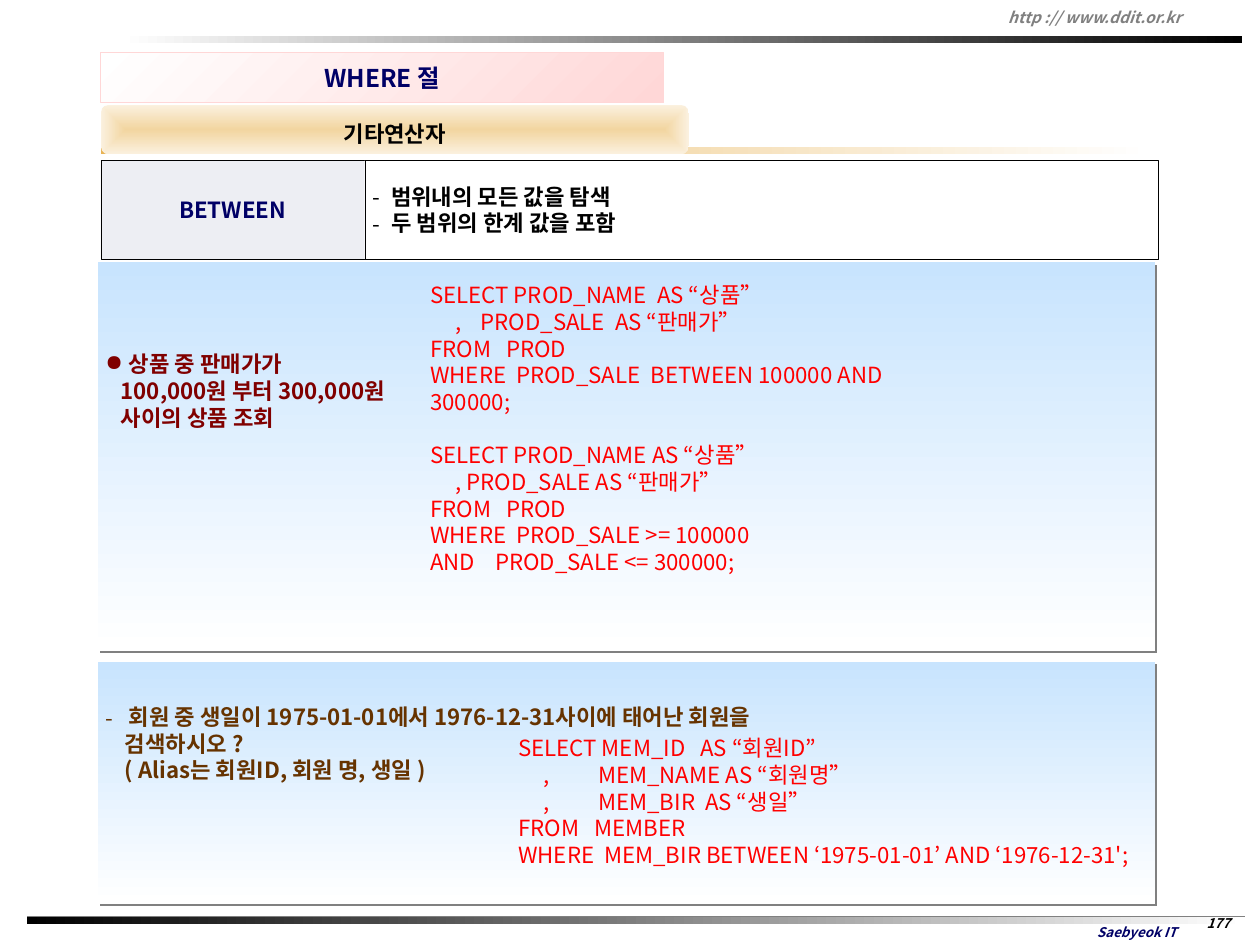
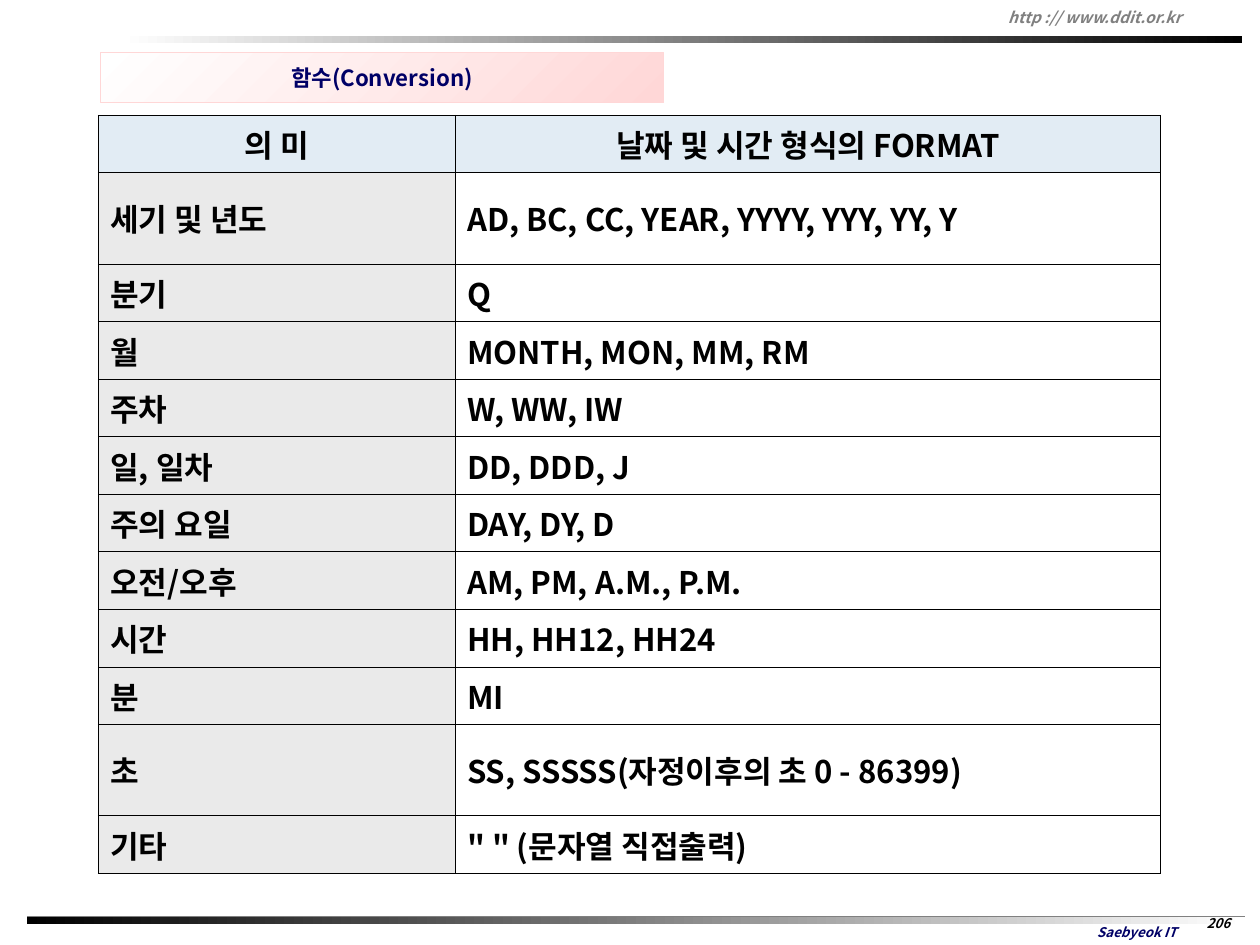
from dataclasses import dataclass

from lxml.etree import SubElement
from pptx import Presentation
from pptx.dml.color import RGBColor
from pptx.enum.shapes import MSO_CONNECTOR, MSO_SHAPE
from pptx.enum.text import MSO_ANCHOR, PP_ALIGN
from pptx.oxml.ns import qn
from pptx.util import Inches, Pt


@dataclass(frozen=True)
class Theme:
    """Colours, font and type sizes shared by the slides."""
    font: str = "Noto Sans CJK KR"
    black: str = "000000"
    white: str = "FFFFFF"
    gray: str = "808080"
    navy: str = "000066"
    pink: str = "FFD7D7"
    maroon: str = "800000"
    brown: str = "663300"
    red: str = "FF0000"
    sky: str = "C8E4FE"
    gold: str = "E8B354"
    sand: str = "F2D5A0"
    cream: str = "FBF1DF"
    term: str = "EDEEF3"
    header: str = "E2ECF4"
    label: str = "EAEAEA"
    small: int = 12
    address: int = 14
    body: int = 20
    title: int = 22
    table: int = 28


THEME = Theme()


def rgb(value):
    """Turn a hex string into a colour."""
    return RGBColor.from_string(value)


def add_span(para, text, size, color, bold=True, italic=False):
    """Add one styled run to a paragraph."""
    span = para.add_run()
    span.text = text
    font = span.font
    font.size, font.bold, font.italic = Pt(size), bold, italic
    font.color.rgb = rgb(color)
    font.name = THEME.font
    SubElement(font._element, qn("a:ea"), typeface=THEME.font)


def set_indent(para, margin, bullet=None):
    """Set the left margin and hanging bullet of a paragraph."""
    props = para._p.get_or_add_pPr()
    props.set("marL", str(Inches(margin)))
    props.set("indent", str(-Inches(margin) if bullet else 0))
    if bullet == "-":
        SubElement(props, qn("a:buFont"), typeface=THEME.font)
    if bullet:
        SubElement(props, qn("a:buChar"), char=bullet)


def set_tab(para, position):
    """Set one left tab stop."""
    stops = SubElement(para._p.get_or_add_pPr(), qn("a:tabLst"))
    SubElement(stops, qn("a:tab"), pos=str(Inches(position)), algn="l")


def write_lines(holder, lines, size, color, align=PP_ALIGN.LEFT,
                anchor=MSO_ANCHOR.MIDDLE, wrap=True, **style):
    """Write paragraphs into a shape and return them."""
    frame = holder.text_frame
    frame.word_wrap, frame.vertical_anchor = wrap, anchor
    paras = []
    for index, line in enumerate(lines):
        para = frame.add_paragraph() if index else frame.paragraphs[0]
        para.alignment = align
        add_span(para, line, size, color, **style)
        paras.append(para)
    return paras


def add_text(page, region, lines, size, color, **style):
    """Place a text box and return its paragraphs."""
    box = page.shapes.add_textbox(*map(Inches, region))
    return write_lines(box, lines, size, color, **style)


def add_box(page, region, fill, line=None, width=0.25, kind=MSO_SHAPE.RECTANGLE):
    """Place a shape with a solid or (start, end, angle) gradient fill."""
    box = page.shapes.add_shape(kind, *map(Inches, region))
    box.shadow.inherit = False
    if isinstance(fill, str):
        box.fill.solid()
        box.fill.fore_color.rgb = rgb(fill)
    else:
        start, end, angle = fill
        box.fill.gradient()
        box.fill.gradient_angle = angle
        for stop, color in zip(box.fill.gradient_stops, (start, end)):
            stop.color.rgb = rgb(color)
    if line:
        box.line.color.rgb = rgb(line)
        box.line.width = Pt(width)
    else:
        box.line.fill.background()
    return box


def add_frame(page, number):
    """Draw the header band, the footer band and the page number."""
    left, top, width = 0.34, 11.46, 15.22
    rule = page.shapes.add_connector(MSO_CONNECTOR.STRAIGHT, Inches(left), Inches(top),
                                     Inches(left + width), Inches(top))
    rule.line.color.rgb = rgb(THEME.gray)
    rule.line.width = Pt(1.5)
    SubElement(rule._element.spPr, qn("a:effectLst"))
    add_box(page, (left, top, width, 0.09), (THEME.black, THEME.white, 0))
    add_box(page, (1.52, 0.45, 14, 0.09), (THEME.white, THEME.black, 0))
    add_text(page, (13.26, 11.48, 1.9, 0.33), ["Saebyeok IT"], THEME.small, THEME.navy,
             align=PP_ALIGN.CENTER, italic=True)
    add_text(page, (12.5, 0.02, 3.21, 0.38), ["http :// www.ddit.or.kr"], THEME.address,
             THEME.gray, italic=True)
    add_text(page, (14.88, 11.39, 0.7, 0.31), [number], THEME.small, THEME.black,
             align=PP_ALIGN.CENTER, anchor=MSO_ANCHOR.TOP, italic=True)


def add_title(page, text, size):
    """Draw the pink title bar."""
    bar = add_box(page, (1.26, 0.66, 7.03, 0.62), (THEME.white, THEME.pink, 315),
                  THEME.pink, 0.75)
    write_lines(bar, [text], size, THEME.navy, align=PP_ALIGN.CENTER, wrap=False)


def add_subtitle(page, region, text):
    """Draw the rounded golden tab on its fading rule."""
    left, top, width, height = region
    add_box(page, (left, top + height - 0.09, 13.12, 0.09), (THEME.gold, THEME.white, 0))
    tab = add_box(page, region, (THEME.sand, THEME.cream, 0),
                  kind=MSO_SHAPE.ROUNDED_RECTANGLE)
    tab.adjustments[0] = 0.17
    gradient = tab._element.spPr.find(qn("a:gradFill"))
    gradient.remove(gradient.find(qn("a:lin")))
    shade = SubElement(gradient, qn("a:path"), path="shape")
    SubElement(shade, qn("a:fillToRect"), l="50000", t="50000", r="50000", b="50000")
    para, = write_lines(tab, [text], THEME.body, THEME.black,
                        align=PP_ALIGN.CENTER, wrap=False)
    para.line_spacing = 1.3


def add_definition(page, region, term, meanings):
    """Draw a term cell beside its bulleted meaning."""
    left, top, width, height = region
    split = 3.3
    name = add_box(page, (left, top, split, height), THEME.term, THEME.black)
    write_lines(name, [term], THEME.body, THEME.navy, align=PP_ALIGN.CENTER)
    meaning = add_box(page, (left + split, top, width - split, height),
                      THEME.white, THEME.black)
    for para in write_lines(meaning, meanings, THEME.body, THEME.black):
        set_indent(para, 0.23, "-")


def add_panel(page, region, inset, bullet, hang, margin, lines, color):
    """Draw a shadowed blue panel with a bulleted question."""
    panel = add_box(page, region, (THEME.sky, THEME.white, 270))
    effects = panel._element.spPr.find(qn("a:effectLst"))
    shadow = SubElement(effects, qn("a:outerShdw"), dist=str(Pt(2.8)), dir="2700000",
                        algn="ctr", rotWithShape="0")
    SubElement(shadow, qn("a:srgbClr"), val=THEME.gray)
    panel.text_frame.margin_top = Inches(inset)
    first, *others = write_lines(panel, lines, THEME.body, color, anchor=MSO_ANCHOR.TOP)
    set_indent(first, hang, bullet)
    for para in others:
        set_indent(para, margin)


def add_query(page, region, lines, tab):
    """Place SQL code, with a gap before each later statement."""
    paras = add_text(page, region, lines, THEME.body, THEME.red,
                     anchor=MSO_ANCHOR.TOP, bold=False)
    for index, (para, line) in enumerate(zip(paras, lines)):
        if "\t" in line:
            set_tab(para, tab)
        if index and line.startswith("SELECT"):
            para.space_before = Pt(24)


def style_cell(cell, text, fill, align):
    """Write, fill and border one table cell."""
    cell.margin_left = cell.margin_right = Inches(0.15)
    cell.margin_top = cell.margin_bottom = Inches(0.08)
    cell.vertical_anchor = MSO_ANCHOR.MIDDLE
    props = cell._tc.get_or_add_tcPr()
    for side in ("lnL", "lnR", "lnT", "lnB"):
        border = SubElement(props, qn(f"a:{side}"), w=str(Pt(1)))
        paint = SubElement(border, qn("a:solidFill"))
        SubElement(paint, qn("a:srgbClr"), val=THEME.black)
    if fill:
        cell.fill.solid()
        cell.fill.fore_color.rgb = rgb(fill)
    else:
        cell.fill.background()
    para = cell.text_frame.paragraphs[0]
    para.alignment = align
    add_span(para, text, THEME.table, THEME.black)


def add_format_table(page, region, rows, tall_rows):
    """Draw the two-column table of formats."""
    left, top, width, height = region
    table = page.shapes.add_table(len(rows), 2, *map(Inches, region)).table
    table.first_row = table.horz_banding = False
    label_width = 4.46
    table.columns[0].width = Inches(label_width)
    table.columns[1].width = Inches(width - label_width)
    tall = 1.14
    normal = (height - tall * len(tall_rows)) / (len(rows) - len(tall_rows))
    for index, row in enumerate(rows):
        table.rows[index].height = Inches(tall if index in tall_rows else normal)
        fills = (THEME.label, None) if index else (THEME.header, THEME.header)
        align = PP_ALIGN.LEFT if index else PP_ALIGN.CENTER
        for column, text in enumerate(row):
            style_cell(table.cell(index, column), text, fills[column], align)


def build_between(page):
    """Build the slide on the BETWEEN operator."""
    add_frame(page, "177")
    add_title(page, "WHERE 절", THEME.title)
    add_definition(page, (1.26, 2, 13.22, 1.24), "BETWEEN",
                   ["범위내의 모든 값을 탐색", "두 범위의 한계 값을 포함"])
    add_panel(page, (1.22, 3.28, 13.22, 4.86), 1.1, "●", 0.29, 0.19,
              ["상품 중 판매가가", "100,000원 부터 300,000원", "사이의 상품 조회"],
              THEME.maroon)
    add_subtitle(page, (1.26, 1.31, 7.35, 0.62), "기타연산자")
    add_panel(page, (1.22, 8.27, 13.22, 3.03), 0.52, "-", 0.29, 0.24,
              ["회원 중 생일이 1975-01-01에서 1976-12-31사이에 태어난 회원을",
               "검색하시오 ?", "( Alias는 회원ID, 회원 명, 생일 )"], THEME.brown)
    add_query(page, (5.28, 3.47, 6.37, 3.77), [
        "SELECT PROD_NAME  AS “상품”",
        "     ,\tPROD_SALE  AS “판매가”",
        "FROM   PROD",
        "WHERE  PROD_SALE  BETWEEN 100000 AND 300000;",
        "SELECT PROD_NAME AS “상품”",
        "     , PROD_SALE AS “판매가”",
        "FROM   PROD",
        "WHERE  PROD_SALE >= 100000",
        "AND    PROD_SALE <= 300000;"], 0.63)
    add_query(page, (6.38, 9.13, 8.2, 1.78), [
        "SELECT MEM_ID   AS “회원ID”",
        "     ,\tMEM_NAME AS “회원명”",
        "     ,\tMEM_BIR  AS “생일”",
        "FROM   MEMBER",
        "WHERE  MEM_BIR BETWEEN ‘1975-01-01’ AND ‘1976-12-31';"], 1)


def build_formats(page):
    """Build the slide on date and time formats."""
    add_frame(page, "206")
    add_title(page, "함수(Conversion)", THEME.body)
    add_format_table(page, (1.23, 1.44, 13.28, 9.48), [
        ("의 미", "날짜 및 시간 형식의 FORMAT"),
        ("세기 및 년도", "AD, BC, CC, YEAR, YYYY, YYY, YY, Y"),
        ("분기", "Q"),
        ("월", "MONTH, MON, MM, RM"),
        ("주차", "W, WW, IW"),
        ("일, 일차", "DD, DDD, J"),
        ("주의 요일", "DAY, DY, D"),
        ("오전/오후", "AM, PM, A.M., P.M."),
        ("시간", "HH, HH12, HH24"),
        ("분", "MI"),
        ("초", "SS, SSSSS(자정이후의 초 0 - 86399)"),
        ("기타", "\" \" (문자열 직접출력)")], (1, 10))


def main():
    """Build and save the deck."""
    deck = Presentation()
    deck.slide_width, deck.slide_height = Inches(15.75), Inches(11.81)
    for build in (build_between, build_formats):
        build(deck.slides.add_slide(deck.slide_layouts[6]))
    deck.save("out.pptx")


if __name__ == "__main__":
    main()
